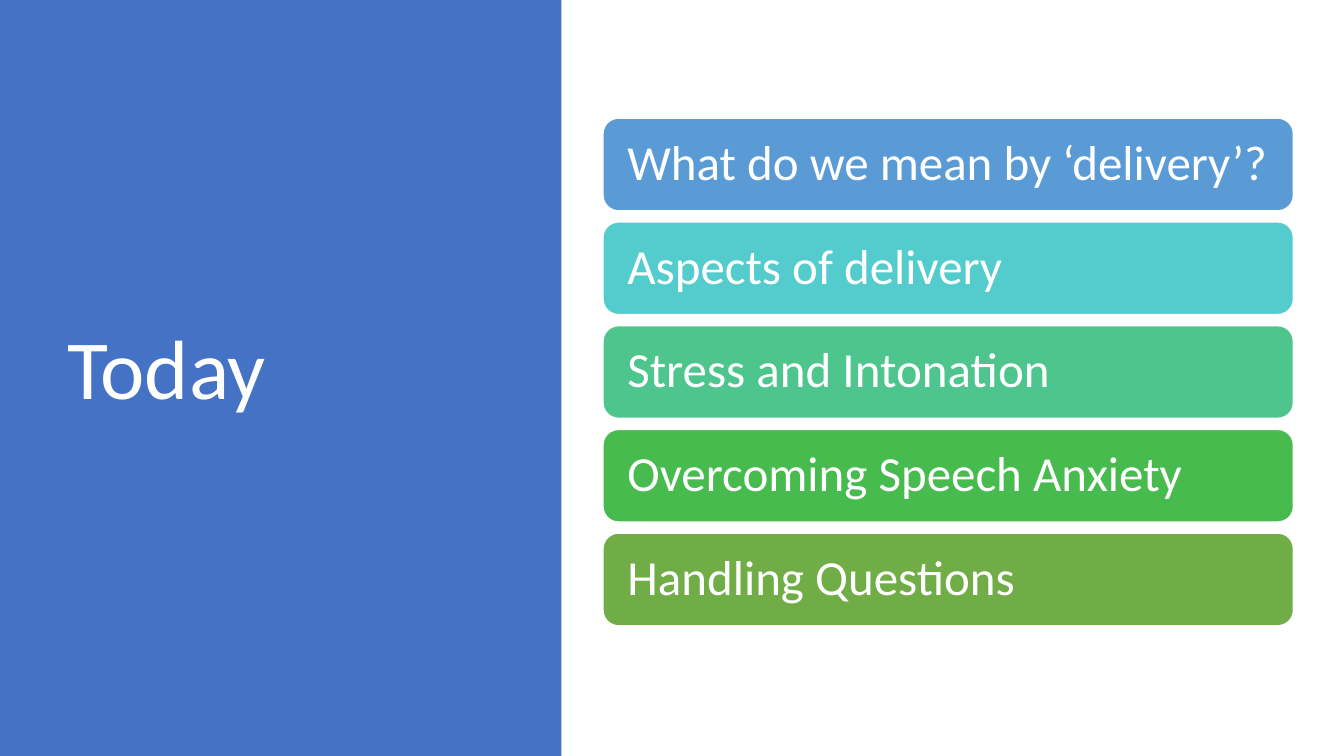
import pptx
import pptx.dml.color
import pptx.enum.shapes
import pptx.enum.text
import pptx.util

Pt = pptx.util.Pt

# Content
TITLE = "Today"
TOPICS = [
    ("What do we mean by ‘delivery’?", "blue"),
    ("Aspects of delivery", "turquoise"),
    ("Stress and Intonation", "mint"),
    ("Overcoming Speech Anxiety", "green"),
    ("Handling Questions", "olive"),
]
COLORS = {
    "white": "FFFFFF",
    "panel": "4472C4",
    "blue": "5B9BD5",
    "turquoise": "54CCCD",
    "mint": "4DC58D",
    "green": "48BB4F",
    "olive": "70AD47",
}
FONT = "Calibri"

# Layout in points
SLIDE_WIDTH, SLIDE_HEIGHT = 960, 540
PANEL_WIDTH = 401
TITLE_BOX = (41, 49, 299.5, 433.5)
BAR_LEFT, BAR_TOP, BAR_WIDTH, BAR_HEIGHT = 430.7, 84.4, 493.2, 66.2
BAR_PITCH = 74.1
BAR_INSET = 14.2


def color(name):
    return pptx.dml.color.RGBColor.from_string(COLORS[name])


def add_block(slide, kind, box, fill):
    shape = slide.shapes.add_shape(kind, *map(Pt, box))
    shape.shadow.inherit = False
    shape.fill.solid()
    shape.fill.fore_color.rgb = color(fill)
    shape.line.fill.background()
    return shape


def write(shape, text, size, inset):
    frame = shape.text_frame
    frame.word_wrap = True
    frame.vertical_anchor = pptx.enum.text.MSO_ANCHOR.MIDDLE
    frame.margin_left = frame.margin_right = Pt(inset)
    paragraph = frame.paragraphs[0]
    paragraph.text = text
    paragraph.alignment = pptx.enum.text.PP_ALIGN.LEFT
    paragraph.line_spacing = 0.9
    paragraph.font.name = FONT
    paragraph.font.size = Pt(size)
    paragraph.font.color.rgb = color("white")


def main():
    presentation = pptx.Presentation()
    presentation.slide_width = Pt(SLIDE_WIDTH)
    presentation.slide_height = Pt(SLIDE_HEIGHT)
    slide = presentation.slides.add_slide(presentation.slide_layouts[6])
    shapes = pptx.enum.shapes.MSO_SHAPE

    # Title panel
    add_block(slide, shapes.RECTANGLE, (0, 0, PANEL_WIDTH, SLIDE_HEIGHT), "panel")
    title = slide.shapes.add_textbox(*map(Pt, TITLE_BOX))
    write(title, TITLE, 60, 7.2)

    # Topic bars
    for index, (topic, fill) in enumerate(TOPICS):
        box = (BAR_LEFT, BAR_TOP + index * BAR_PITCH, BAR_WIDTH, BAR_HEIGHT)
        bar = add_block(slide, shapes.ROUNDED_RECTANGLE, box, fill)
        bar.line.color.rgb = color("white")
        bar.line.width = Pt(1)
        write(bar, topic, 35, BAR_INSET)

    presentation.save("out.pptx")


if __name__ == "__main__":
    main()
